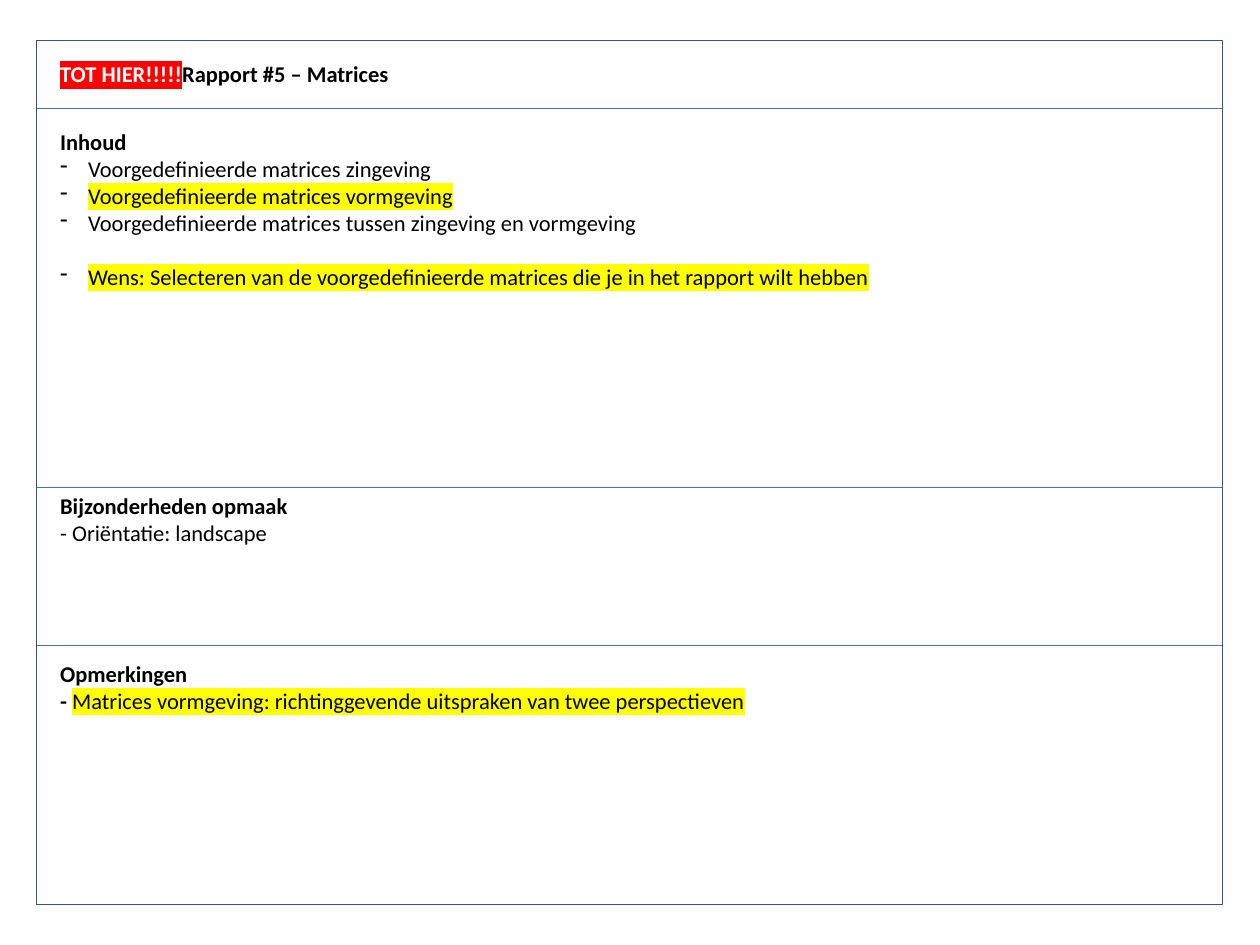
from dataclasses import dataclass

from lxml.etree import SubElement
from pptx import Presentation
from pptx.dml.color import RGBColor
from pptx.enum.shapes import MSO_CONNECTOR, MSO_SHAPE
from pptx.enum.text import MSO_AUTO_SIZE
from pptx.oxml import parse_xml
from pptx.oxml.ns import nsdecls, qn
from pptx.slide import Slide
from pptx.util import Inches, Pt


@dataclass(frozen=True)
class Theme:
    font: str = "Calibri"
    size: float = 18
    text: str = "000000"
    inverse: str = "FFFFFF"
    alert: str = "FF0000"
    marker: str = "FFFF00"
    frame: str = "325491"
    divider: str = "4472C4"


THEME = Theme()
FRAME_LEFT, FRAME_TOP, FRAME_WIDTH, FRAME_HEIGHT = 0.41, 0.45, 13.17, 9.6
TEXT_LEFT = 0.57
BULLET_INDENT = 0.31
BLANK_LINE = 21.6


@dataclass(frozen=True)
class TextRun:
    text: str
    bold: bool = False
    color: str = THEME.text
    highlight: str | None = None


@dataclass(frozen=True)
class Line:
    runs: tuple[TextRun, ...]
    bullet: bool = False
    space_before: float = 0


@dataclass(frozen=True)
class Section:
    top: float
    width: float
    height: float
    lines: tuple[Line, ...]
    wrap: bool = True


def heading(text: str) -> Line:
    return Line((TextRun(text, bold=True),))


def bullet(text: str, highlight: str | None = None, space_before: float = 0) -> Line:
    return Line((TextRun(text, highlight=highlight),), True, space_before)


SECTIONS = (
    Section(0.62, 3.88, 0.4, (
        Line((
            TextRun("TOT HIER!!!!!", True, THEME.inverse, THEME.alert),
            TextRun("Rapport #5 – Matrices", True),
        )),
    ), wrap=False),
    Section(1.37, 9.3, 2.52, (
        heading("Inhoud"),
        bullet("Voorgedefinieerde matrices zingeving"),
        bullet("Voorgedefinieerde matrices vormgeving", THEME.marker),
        bullet("Voorgedefinieerde matrices tussen zingeving en vormgeving"),
        bullet("Wens: Selecteren van de voorgedefinieerde matrices die je in het rapport wilt hebben",
               THEME.marker, BLANK_LINE),
    ), wrap=False),
    Section(5.42, 13.02, 0.71, (
        heading("Bijzonderheden opmaak"),
        Line((TextRun("- Oriëntatie: landscape"),)),
    )),
    Section(7.28, 12.58, 1.92, (
        heading("Opmerkingen"),
        Line((
            TextRun("- ", True),
            TextRun("Matrices vormgeving: richtinggevende uitspraken van twee perspectieven",
                    highlight=THEME.marker),
        )),
    )),
)
DIVIDERS = (1.2, 5.42, 7.17)


def add_frame(slide: Slide) -> None:
    shape = slide.shapes.add_shape(
        MSO_SHAPE.RECTANGLE, Inches(FRAME_LEFT), Inches(FRAME_TOP),
        Inches(FRAME_WIDTH), Inches(FRAME_HEIGHT))
    shape.shadow.inherit = False
    shape.fill.background()
    shape.line.color.rgb = RGBColor.from_string(THEME.frame)
    shape.line.width = Pt(1)


def add_divider(slide: Slide, top: float) -> None:
    connector = slide.shapes.add_connector(
        MSO_CONNECTOR.STRAIGHT, Inches(FRAME_LEFT), Inches(top),
        Inches(FRAME_LEFT + FRAME_WIDTH), Inches(top))
    connector.line.color.rgb = RGBColor.from_string(THEME.divider)
    connector.line.width = Pt(0.5)
    SubElement(connector._element.spPr, qn("a:effectLst"))


def add_run(paragraph, text_run: TextRun) -> None:
    run = paragraph.add_run()
    run.text = text_run.text
    run.font.name = THEME.font
    run.font.size = Pt(THEME.size)
    run.font.bold = text_run.bold
    run.font.color.rgb = RGBColor.from_string(text_run.color)
    if text_run.highlight:
        fill = run._r.get_or_add_rPr().find(qn("a:solidFill"))
        fill.addnext(parse_xml(
            f'<a:highlight {nsdecls("a")}><a:srgbClr val="{text_run.highlight}"/></a:highlight>'))


def format_paragraph(paragraph, line: Line) -> None:
    paragraph.space_before = Pt(line.space_before)
    if line.bullet:
        properties = paragraph._p.get_or_add_pPr()
        properties.set("marL", str(Inches(BULLET_INDENT)))
        properties.set("indent", str(-Inches(BULLET_INDENT)))
        SubElement(properties, qn("a:buChar"), char="-")


def add_section(slide: Slide, section: Section) -> None:
    shape = slide.shapes.add_textbox(
        Inches(TEXT_LEFT), Inches(section.top), Inches(section.width), Inches(section.height))
    frame = shape.text_frame
    frame.word_wrap = section.wrap
    frame.auto_size = MSO_AUTO_SIZE.SHAPE_TO_FIT_TEXT
    for index, line in enumerate(section.lines):
        paragraph = frame.add_paragraph() if index else frame.paragraphs[0]
        format_paragraph(paragraph, line)
        for text_run in line.runs:
            add_run(paragraph, text_run)


def main() -> None:
    presentation = Presentation()
    presentation.slide_width = Inches(14)
    presentation.slide_height = Inches(10.5)
    slide = presentation.slides.add_slide(presentation.slide_layouts[6])
    add_frame(slide)
    for top in DIVIDERS:
        add_divider(slide, top)
    for section in SECTIONS:
        add_section(slide, section)
    presentation.save("out.pptx")


if __name__ == "__main__":
    main()
